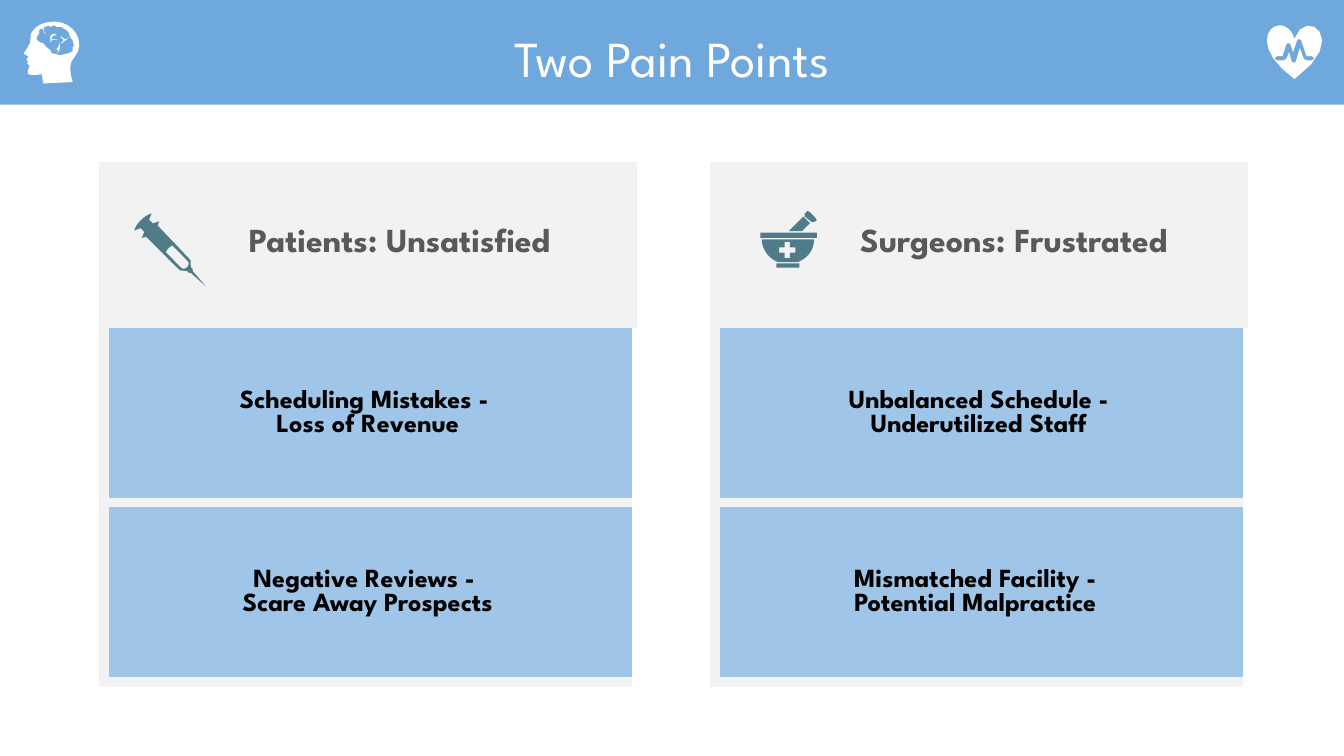
from lxml import etree
from pptx import Presentation
from pptx import util as u
from pptx.dml import color
from pptx.enum import shapes, text
from pptx.oxml import ns

FONT = "League Spartan"
BLUE, LIGHT_BLUE, GRAY = "6FA8DC", "9FC5E8", "F2F2F2"
TEAL, DARK_GRAY, WHITE, BLACK = "507C89", "595959", "FFFFFF", "000000"
COLUMN_WIDTHS = (2.49, 7.49)
ROW_HEIGHTS = (2.95, 1.14, 2.26, 1.14, 2.26)

# Icon contours on a fine grid: pairs are corners, sextuples are cubic curves.
HEART = [
    [(10, 0), (14, 0, 19, 3, 21, 10), (29, -14, 63, 10, 21, 40), (-9, 18, 0, 0, 10, 0)],
    [(8, 23), (12, 23), (15, 14), (16.5, 13), (18, 14), (20, 20), (23, 11), (24.5, 10),
     (26, 11), (30, 23), (34, 23), (36, 24.5), (34, 26), (30, 26), (28, 25), (25, 17),
     (22, 27), (20.5, 28), (19, 27), (17, 20), (15, 25), (13, 26), (8, 26), (6, 24.5)],
]
HEAD = [
    [(23, 0), (36, 0, 47, 15, 37, 27), (34, 30, 33, 35, 36, 45), (14, 46), (13, 39),
     (9, 40, 5, 40, 3, 39), (2, 38, 3, 35, 4, 33), (2, 31), (3, 30), (2, 29),
     (1, 28, 3, 27, 3, 26), (2, 25, 1, 25, 0, 24), (-1, 23, 2, 21, 3, 18),
     (5, 16, 4, 14, 5, 9), (8, 3, 14, 0, 23, 0)],
    # Brain and its folds
    [(21, 3), (20, 4), (18, 3), (15, 4), (14, 5), (11, 6), (11, 9), (10, 10), (9, 13),
     (11, 15), (13, 16), (14, 16), (16, 18.5), (19, 21), (20, 22), (20, 23.5), (23, 24),
     (26, 25), (29, 24.5), (33, 23.5), (36, 22), (36, 19), (37, 18), (36, 14), (34, 11),
     (33, 8), (31, 6), (29, 5), (28, 4), (24, 4), (23, 3)],
    [(21, 13), (23, 13, 24, 13, 25, 14), (23, 13, 20, 13, 19, 16), (19, 15, 20, 13, 21, 13)],
    [(22, 9), (23, 9, 23, 9, 24, 10), (21, 10, 20, 12, 20, 14), (18, 12, 20, 9, 22, 9)],
    [(14, 5), (14, 7, 15, 9, 16, 9), (15, 8, 14, 7, 15, 5)],
    [(27, 11), (29, 12, 30, 13, 30, 13), (32, 13, 33, 12, 33, 11), (32, 14, 30, 14, 29, 15),
     (29, 16, 28, 16, 27, 16), (28, 15, 29, 15, 29, 14), (29, 13, 28, 12, 27, 12)],
    [(26, 16), (27, 18, 27, 21, 24, 24), (26, 21, 25, 20, 23, 21), (25, 20, 26, 18, 26, 16)],
]
SYRINGE = [
    [(0, 2), (4, -0.7, 14, -0.7, 18, 2), (13.5, 4), (13.5, 8), (18, 10), (15, 11.5),
     (14.5, 47), (11, 51), (11, 53), (10, 54), (9, 69), (8, 54), (7, 53), (7, 51),
     (3.5, 47), (3, 11.5), (0, 10), (4.5, 8), (4.5, 4)],
    [(12.5, 30), (12.5, 46), (12.5, 50, 5.5, 50, 5.5, 46), (5.5, 30), (7, 29, 11, 29, 12.5, 30)],
]
MORTAR = [
    [(12, 39), (29, 39), (29, 42), (12, 42)],
    [(1, 21), (40, 21), (40, 28, 36, 34, 30, 37), (28, 38), (13, 38), (11, 37),
     (5, 34, 1, 27, 1, 21)],
    [(18, 23), (18, 27), (14, 27), (14, 31), (18, 31), (18, 35), (22, 35), (22, 31),
     (26, 31), (26, 27), (22, 27), (22, 23)],
    [(0, 16), (42, 16), (42, 20), (0, 20)],
    [(32, 4), (37, 9), (31, 15), (21, 15)],
    [(35, 0), (36.5, 0.5), (41, 5), (42, 7), (40, 8), (38, 8), (33, 4), (33, 2)],
]


def rgb(value):
    return color.RGBColor.from_string(value)


def paint(shape, fill):
    shape.fill.solid()
    shape.fill.fore_color.rgb = rgb(fill)
    shape.line.fill.background()
    shape.shadow.inherit = False


def write(frame, lines, size, font_color, align, bold=False):
    for index, line in enumerate(lines):
        paragraph = frame.paragraphs[0] if index == 0 else frame.add_paragraph()
        paragraph.alignment = align
        run = paragraph.add_run()
        run.text = line
        run.font.name = FONT
        run.font.size = u.Pt(size)
        run.font.bold = bold
        run.font.color.rgb = rgb(font_color)


def trace(contour, steps=8):
    """Turn the corners and curves of a contour into points."""
    points = [contour[0]]
    for segment in contour[1:]:
        if len(segment) == 2:
            points.append(segment)
            continue
        controls = [points[-1], segment[:2], segment[2:4], segment[4:]]
        for step in range(1, steps + 1):
            t = step / steps
            weights = ((1 - t) ** 3, 3 * t * (1 - t) ** 2, 3 * t * t * (1 - t), t ** 3)
            points.append(tuple(sum(w * c[axis] for w, c in zip(weights, controls))
                                for axis in (0, 1)))
    return points


def add_icon(slide, left, top, contours, fill, rotation=0):
    grid = u.Cm(0.0254)
    precision = 100  # builder coordinates are whole numbers
    builder = None
    for contour in contours:
        points = [(x * precision, y * precision) for x, y in trace(contour)]
        if builder is None:
            builder = slide.shapes.build_freeform(*points[0], scale=grid / precision)
        else:
            builder.move_to(*points[0])
        builder.add_line_segments(points[1:], close=True)
    shape = builder.convert_to_shape(u.Cm(left), u.Cm(top))
    paint(shape, fill)
    shape.rotation = rotation


def add_header(slide, left, top, width, height):
    bar = slide.shapes.add_shape(shapes.MSO_SHAPE.RECTANGLE, u.Cm(left), u.Cm(top),
                                 u.Cm(width), u.Cm(height))
    paint(bar, BLUE)
    title = slide.shapes.add_textbox(u.Cm(left + 0.65), u.Cm(top + 0.58),
                                     u.Cm(width - 1.3), u.Cm(1.17))
    frame = title.text_frame
    frame.word_wrap = True
    frame.vertical_anchor = text.MSO_ANCHOR.MIDDLE
    write(frame, ["Two Pain Points"], 27, WHITE, text.PP_ALIGN.CENTER)
    frame.paragraphs[0].line_spacing = 0.9
    add_icon(slide, left + 0.46, top + 0.41, HEAD, WHITE)
    add_icon(slide, left + width - 1.47, top + 0.48, HEART, WHITE)


def set_borders(cell, visible):
    """Draw thick gray lines on the visible sides and none on the others."""
    properties = cell._tc.get_or_add_tcPr()
    for side in "LRTB":
        line = etree.SubElement(properties, ns.qn(f"a:ln{side}"), w=str(u.Pt(6)))
        if side in visible:
            fill = etree.SubElement(line, ns.qn("a:solidFill"))
            etree.SubElement(fill, ns.qn("a:srgbClr"), val=GRAY)
        else:
            etree.SubElement(line, ns.qn("a:noFill"))


def add_panel(slide, left, top, heading, points):
    table = slide.shapes.add_table(
        len(ROW_HEIGHTS), len(COLUMN_WIDTHS), u.Cm(left), u.Cm(top),
        u.Cm(sum(COLUMN_WIDTHS)), u.Cm(sum(ROW_HEIGHTS))).table
    table.first_row = table.horz_banding = False
    for column, width in zip(table.columns, COLUMN_WIDTHS):
        column.width = u.Cm(width)
    for row, height in zip(table.rows, ROW_HEIGHTS):
        row.height = u.Cm(height)

    # Each blue block is a spacer row above a text row
    for row in range(len(ROW_HEIGHTS)):
        for column, side in enumerate("LR"):
            cell = table.cell(row, column)
            edges = "TB" if row == 0 else "T" if row % 2 else "B"
            set_borders(cell, side + edges)
            cell.fill.solid()
            cell.fill.fore_color.rgb = rgb(LIGHT_BLUE if row else GRAY)
        if row:
            table.cell(row, 0).merge(table.cell(row, 1))

    heading_cell = table.cell(0, 1)
    heading_cell.vertical_anchor = text.MSO_ANCHOR.MIDDLE
    write(heading_cell.text_frame, [heading], 18, DARK_GRAY, text.PP_ALIGN.LEFT, True)
    for row, lines in zip((2, 4), points):
        write(table.cell(row, 0).text_frame, lines, 14, BLACK, text.PP_ALIGN.CENTER, True)


def main():
    presentation = Presentation()
    presentation.slide_width = u.Cm(25.4)
    presentation.slide_height = u.Cm(14.29)
    slide = presentation.slides.add_slide(presentation.slide_layouts[6])

    add_header(slide, 0, 0, 25.4, 1.98)
    # Patients panel
    add_panel(slide, 1.96, 3.15, "Patients: Unsatisfied", [
        ["Scheduling Mistakes - ", "Loss of Revenue"],
        ["Negative Reviews - ", "Scare Away Prospects"]])
    add_icon(slide, 3.05, 3.91, SYRINGE, TEAL, rotation=315.7)
    # Surgeons panel
    add_panel(slide, 13.51, 3.15, "Surgeons: Frustrated", [
        ["Unbalanced Schedule -", "Underutilized Staff"],
        ["Mismatched Facility - ", "Potential Malpractice "]])
    add_icon(slide, 14.37, 3.99, MORTAR, TEAL)
    presentation.save("out.pptx")


if __name__ == "__main__":
    main()
